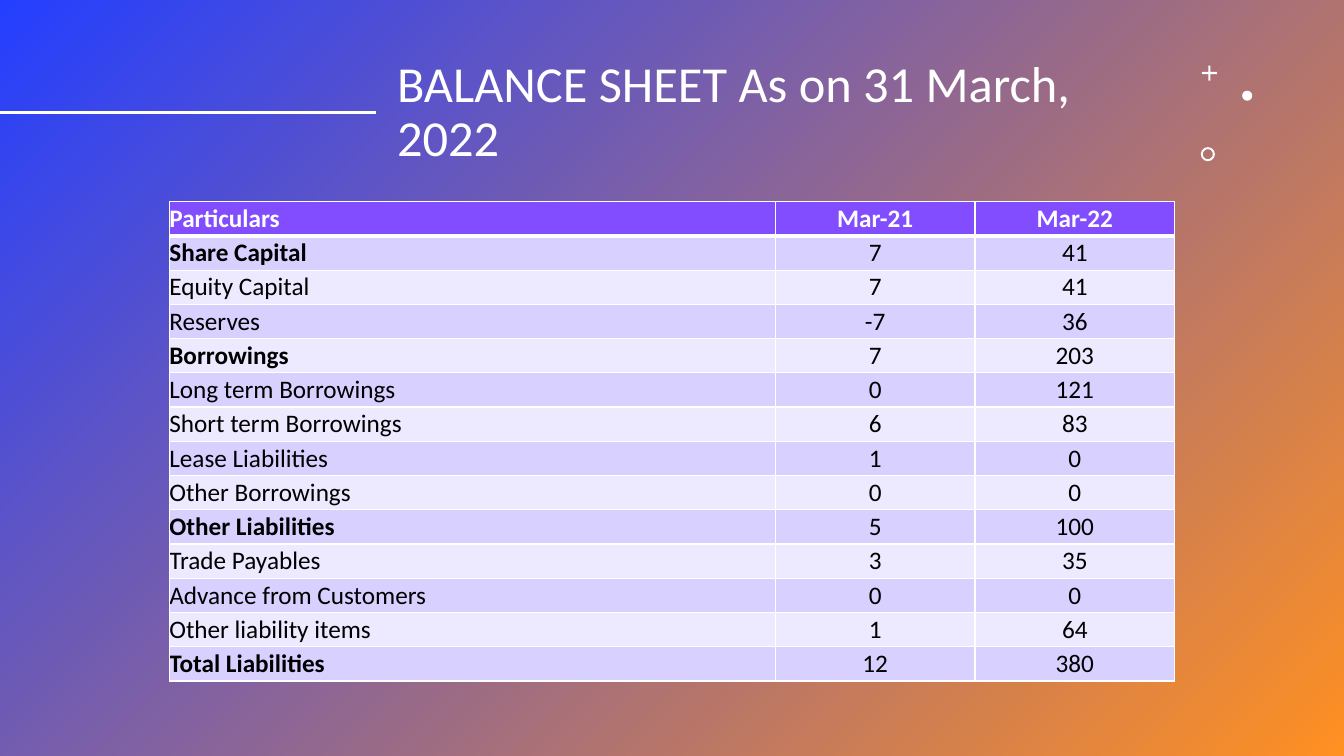
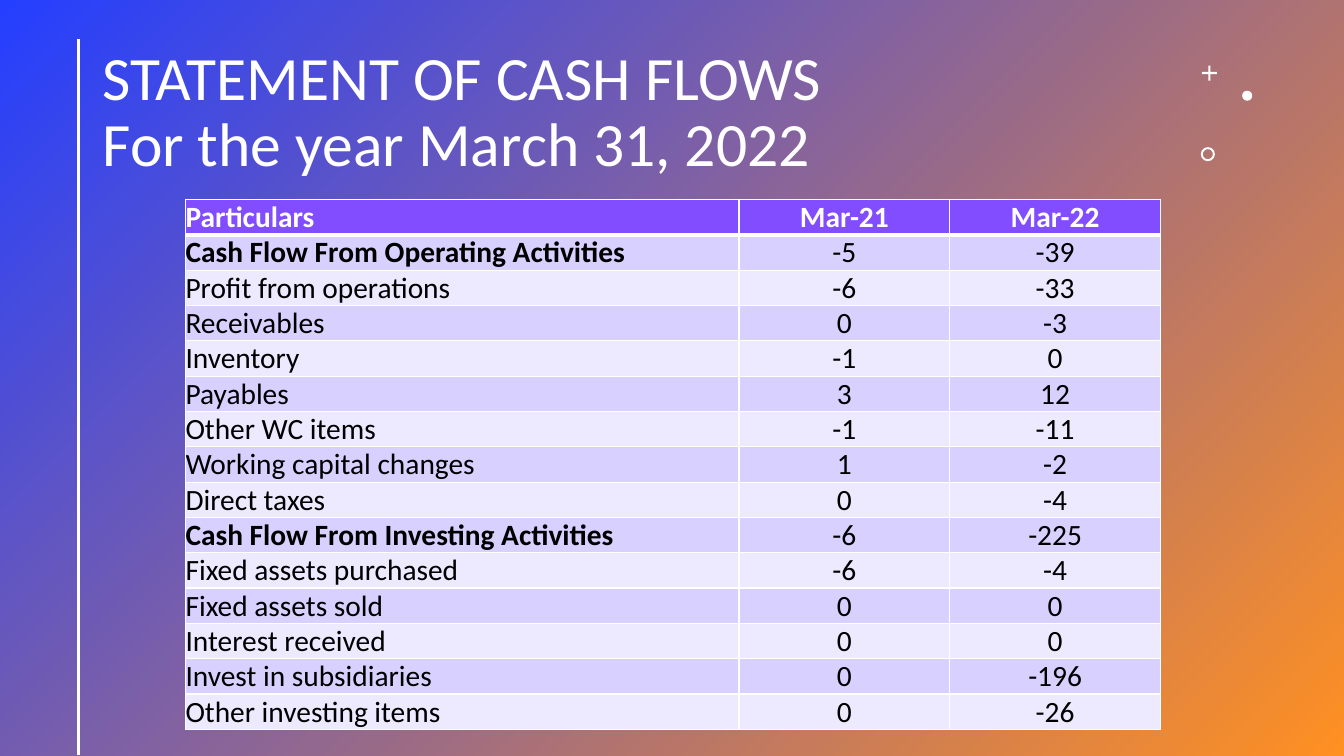
from lxml import etree
from pptx import Presentation
from pptx.dml.color import RGBColor
from pptx.enum.shapes import MSO_CONNECTOR, MSO_SHAPE
from pptx.enum.text import MSO_ANCHOR, PP_ALIGN
from pptx.oxml import parse_xml
from pptx.oxml.ns import nsdecls, qn
from pptx.util import Inches, Pt

BLUE, ORANGE, WHITE, BLACK = "243FFF", "FF9022", "FFFFFF", "000000"
HEADER, BANDS = "814DFF", ("EDE9FF", "D8D0FF")
FONT = "Calibri"
HEADINGS = ("Particulars", "Mar-21", "Mar-22")

# shape, left, top, size, adjustment
ORNAMENTS = [
    (MSO_SHAPE.CROSS, 11.92, 0.65, 0.15, 0.43),
    (MSO_SHAPE.OVAL, 12.32, 0.9, 0.1, None),
    (MSO_SHAPE.DONUT, 11.91, 1.46, 0.14, 0.14),
]

SLIDES = [
    {
        "title": "BALANCE SHEET As on 31 March, 2022",
        "title_box": (3.84, 0.4, 7.83, 1.45),
        "title_size": 36,
        "rule": (0, 1.12, 3.73, 1.12),
        "table_box": (1.68, 2, 9.98, 4.76),
        "columns": (6.01, 1.98, 1.98),
        "text_size": 18,
        "totals": {"Share Capital", "Borrowings", "Other Liabilities", "Total Liabilities"},
        "rows": [
            ("Share Capital", 7, 41),
            ("Equity Capital", 7, 41),
            ("Reserves", -7, 36),
            ("Borrowings", 7, 203),
            ("Long term Borrowings", 0, 121),
            ("Short term Borrowings", 6, 83),
            ("Lease Liabilities", 1, 0),
            ("Other Borrowings", 0, 0),
            ("Other Liabilities", 5, 100),
            ("Trade Payables", 3, 35),
            ("Advance from Customers", 0, 0),
            ("Other liability items", 1, 64),
            ("Total Liabilities", 12, 380),
        ],
    },
    {
        "title": "STATEMENT OF CASH FLOWS\vFor the year March 31, 2022",
        "title_box": (0.92, 0.4, 10.72, 1.45),
        "title_size": 44,
        "rule": (0.78, 0.39, 0.78, 7.49),
        "table_box": (1.84, 1.98, 9.66, 5.25),
        "columns": (5.49, 2.09, 2.09),
        "text_size": 21,
        "totals": {"Cash Flow From Operating Activities", "Cash Flow From Investing Activities"},
        "rows": [
            ("Cash Flow From Operating Activities", -5, -39),
            ("Profit from operations", -6, -33),
            ("Receivables", 0, -3),
            ("Inventory", -1, 0),
            ("Payables", 3, 12),
            ("Other WC items", -1, -11),
            ("Working capital changes", 1, -2),
            ("Direct taxes", 0, -4),
            ("Cash Flow From Investing Activities", -6, -225),
            ("Fixed assets purchased", -6, -4),
            ("Fixed assets sold", 0, 0),
            ("Interest received", 0, 0),
            ("Invest in subsidiaries", 0, -196),
            ("Other investing items", 0, -26),
        ],
    },
]


def paint(fmt, color):
    """Give a fill, or a font's fill, one solid colour."""
    fmt.solid()
    fmt.fore_color.rgb = RGBColor.from_string(color)


def write(p, text, size, color, bold=False):
    p.text = text
    for r in p.runs:
        for name, value in {"name": FONT, "size": Pt(size), "bold": bold}.items():
            setattr(r.font, name, value)
        paint(r.font.fill, color)


prs = Presentation()
prs.slide_width, prs.slide_height = Inches(13.33), Inches(7.5)

for content in SLIDES:
    s = prs.slides.add_slide(prs.slide_layouts[6])

    # Backdrop
    sp = s.shapes.add_shape(MSO_SHAPE.RECTANGLE, 0, 0, prs.slide_width, prs.slide_height)
    sp.shadow.inherit = False
    sp.line.fill.background()
    sp.fill.gradient()
    sp.fill.gradient_angle = 315
    for stop, position, color in zip(sp.fill.gradient_stops, (0, 1), (BLUE, ORANGE)):
        stop.position = position
        stop.color.rgb = RGBColor.from_string(color)

    # Title and rule
    tf = s.shapes.add_textbox(*map(Inches, content["title_box"])).text_frame
    tf.word_wrap = True
    tf.vertical_anchor = MSO_ANCHOR.MIDDLE
    p = tf.paragraphs[0]
    p.line_spacing = 0.9
    write(p, content["title"], content["title_size"], WHITE)

    rule = s.shapes.add_connector(MSO_CONNECTOR.STRAIGHT, *map(Inches, content["rule"]))
    rule.line.width = Pt(2)
    paint(rule.line.fill, WHITE)
    etree.SubElement(rule._element.spPr, qn("a:effectLst"))

    # Corner ornaments
    for kind, left, top, size, adjustment in ORNAMENTS:
        sp = s.shapes.add_shape(kind, *map(Inches, (left, top, size, size)))
        sp.shadow.inherit = False
        sp.line.fill.background()
        paint(sp.fill, WHITE)
        if adjustment is not None:
            sp.adjustments[0] = adjustment

    # Table
    rows = [HEADINGS, *content["rows"]]
    table = s.shapes.add_table(
        len(rows), len(HEADINGS), *map(Inches, content["table_box"])
    ).table
    for column, width in zip(table.columns, content["columns"]):
        column.width = Inches(width)

    for i, row in enumerate(rows):
        is_header = i == 0
        for j, value in enumerate(row):
            cell = table.cell(i, j)
            cell.vertical_anchor = MSO_ANCHOR.MIDDLE
            for side in ("left", "right", "top", "bottom"):
                setattr(cell, f"margin_{side}", 0)

            # The line under the header is heavier
            widths = {"L": 1, "R": 1, "T": 3 if i == 1 else 1, "B": 3 if is_header else 1}
            for side, width in widths.items():
                cell._tc.get_or_add_tcPr().append(parse_xml(
                    f'<a:ln{side} {nsdecls("a")} w="{Pt(width)}"><a:solidFill>'
                    f'<a:srgbClr val="{WHITE}"/></a:solidFill></a:ln{side}>'
                ))
            paint(cell.fill, HEADER if is_header else BANDS[i % 2])

            p = cell.text_frame.paragraphs[0]
            p.alignment = PP_ALIGN.CENTER if j else PP_ALIGN.LEFT
            write(p, str(value), content["text_size"], WHITE if is_header else BLACK,
                  bold=is_header or value in content["totals"])

prs.save("out.pptx")
